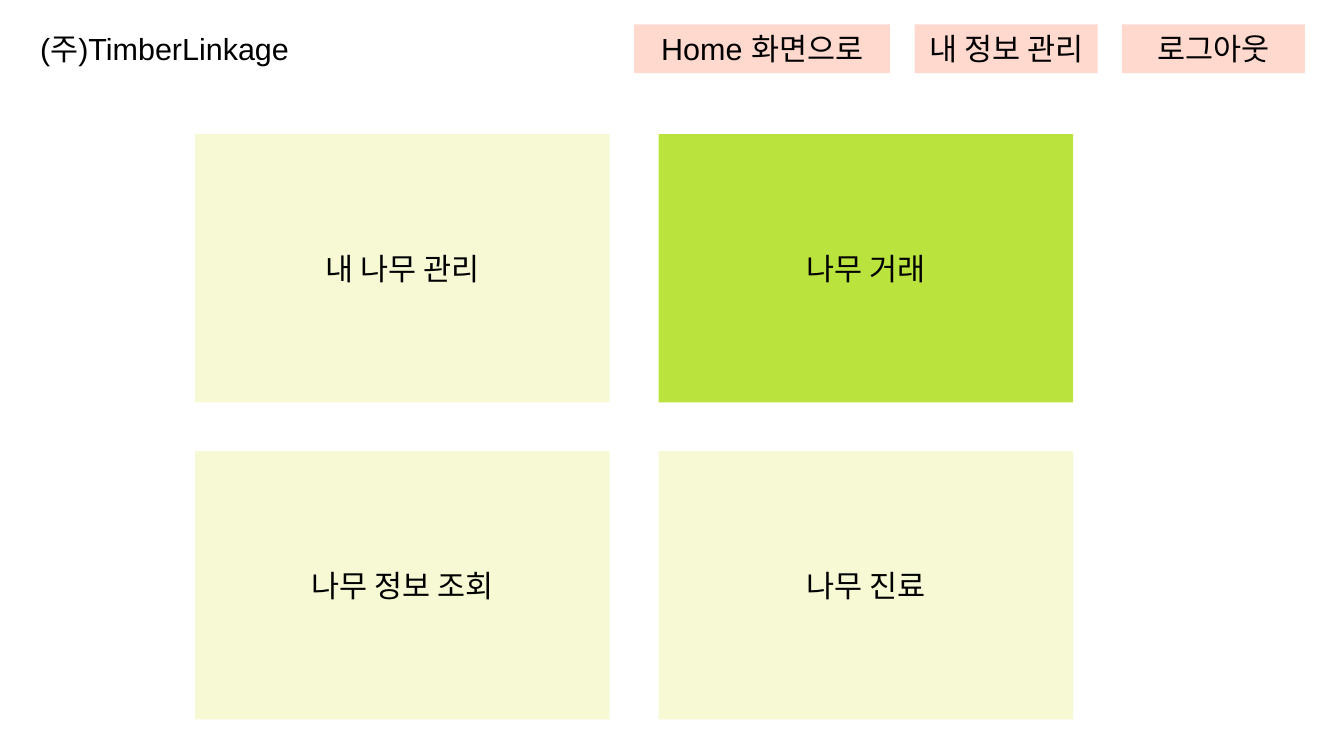
from dataclasses import dataclass

from pptx import Presentation
from pptx.dml.color import RGBColor
from pptx.enum.shapes import MSO_SHAPE
from pptx.enum.text import MSO_ANCHOR, PP_ALIGN
from pptx.util import Pt

SCALE = 9144  # EMU per px, 100 px to the inch


@dataclass(frozen=True)
class Theme:
    font: str = "Arial"
    size: int = 18
    ink: str = "000000"
    paper: str = "FFFFFF"
    button: str = "FFD8CE"
    tile: str = "F6F9D4"
    active: str = "BBE33D"


THEME = Theme()


def px(count):
    return count * SCALE


def add_label(slide, box, text, fill):
    """Draw a filled rectangle with one centred line of text."""
    shape = slide.shapes.add_shape(MSO_SHAPE.RECTANGLE, *map(px, box))
    shape.shadow.inherit = False
    shape.fill.solid()
    shape.fill.fore_color.rgb = RGBColor.from_string(fill)
    shape.line.fill.background()
    frame = shape.text_frame
    frame.word_wrap = False
    frame.vertical_anchor = MSO_ANCHOR.MIDDLE
    line = frame.paragraphs[0]
    line.alignment = PP_ALIGN.CENTER
    run = line.add_run()
    run.text = text
    run.font.name = THEME.font
    run.font.size = Pt(THEME.size)
    run.font.color.rgb = RGBColor.from_string(THEME.ink)


def add_header(slide, box, brand, buttons, gap=20):
    """Put the brand at the left and pack the buttons against the right edge."""
    left, top, width, height = box
    add_label(slide, (left, top, 210, height), brand, THEME.paper)
    right = left + width
    for text, wide in reversed(buttons):
        right -= wide
        add_label(slide, (right, top + 10, wide, height - 20), text, THEME.button)
        right -= gap


def add_menu(slide, box, items, active, cols=2, gap=40):
    """Fill the box with an even grid of tiles, marking the active one."""
    left, top, width, height = box
    rows = len(items) // cols
    wide = (width - gap * (cols - 1)) // cols
    high = (height - gap * (rows - 1)) // rows
    for index, text in enumerate(items):
        row, col = divmod(index, cols)
        place = (left + col * (wide + gap), top + row * (high + gap), wide, high)
        add_label(slide, place, text, THEME.active if text == active else THEME.tile)


def main():
    deck = Presentation()
    deck.slide_width, deck.slide_height = px(1102), px(620)
    slide = deck.slides.add_slide(deck.slide_layouts[6])
    buttons = [("Home 화면으로", 210), ("내 정보 관리", 150), ("로그아웃", 150)]
    add_header(slide, (30, 10, 1040, 60), "(주)TimberLinkage", buttons)
    items = ["내 나무 관리", "나무 거래", "나무 정보 조회", "나무 진료"]
    add_menu(slide, (160, 110, 720, 480), items, active="나무 거래")
    deck.save("out.pptx")


if __name__ == "__main__":
    main()
